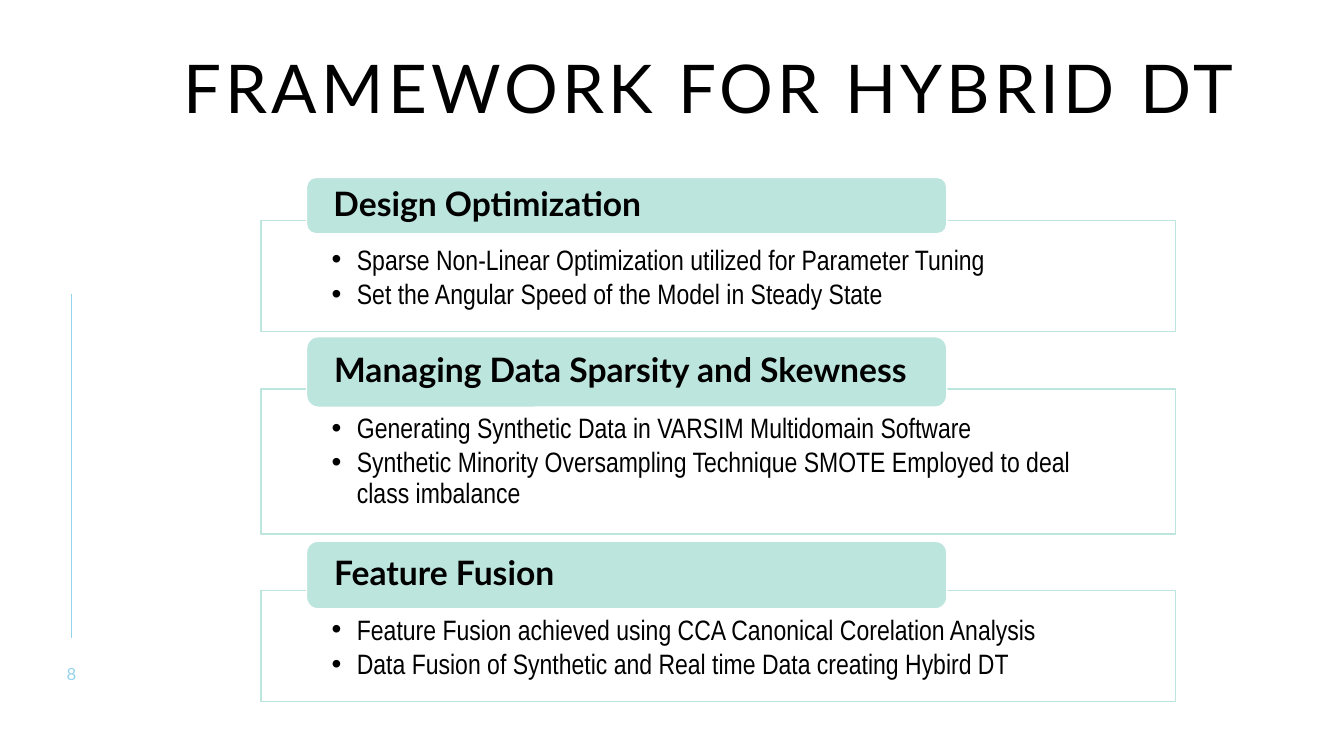
from pptx import Presentation
from pptx import util as u
from pptx.dml.color import RGBColor
from pptx.enum import shapes, text
from pptx.oxml.ns import qn
from lxml import etree

# Content
TITLE = "FRAMEWORK FOR HYBRID DT"
PAGE_NUMBER = "8"
SECTIONS = [
    {"heading": "Design Optimization",
     "points": ["Sparse Non-Linear Optimization utilized for Parameter Tuning",
                "Set the Angular Speed of the Model in Steady State"],
     "tab": (1.76, 0.56), "panel": (2.19, 1.1)},
    {"heading": "Managing Data Sparsity and Skewness",
     "points": ["Generating Synthetic Data in VARSIM Multidomain Software",
                "Synthetic Minority Oversampling Technique SMOTE Employed to deal "
                "class imbalance"],
     "tab": (3.34, 0.7), "panel": (3.86, 1.44)},
    {"heading": "Feature Fusion",
     "points": ["Feature Fusion achieved using CCA Canonical Corelation Analysis",
                "Data Fusion of Synthetic and Real time Data creating Hybird DT"],
     "tab": (5.37, 0.67), "panel": (5.86, 1.1)},
]

# Theme and layout
THEME = {
    "black": "000000", "white": "FFFFFF", "mint": "BCE5DD", "sky": "96D3ED",
    "title": {"size": 48, "name": "Lato", "color": "black", "bold": False, "spacing": 3},
    "heading": {"size": 24, "name": "Lato", "color": "black", "bold": True},
    "point": {"size": 20, "name": "Arial Narrow", "color": "black", "bold": False},
    "number": {"size": 12, "name": "Lato", "color": "sky", "bold": False, "spacing": 2},
}
PANEL_LEFT, PANEL_WIDTH = 2.59, 9.07
TAB_LEFT, TAB_WIDTH = 3.04, 6.35
INDENT = 0.25
TOP, MIDDLE = text.MSO_ANCHOR.TOP, text.MSO_ANCHOR.MIDDLE
LEFT, CENTER = text.PP_ALIGN.LEFT, text.PP_ALIGN.CENTER


def color(name):
    return RGBColor.from_string(THEME[name])


def write(box, lines, style, insets, anchor=TOP, align=LEFT, spacing=0.9, after=0):
    """Fill a text frame with one styled paragraph per line."""
    frame = box.text_frame
    sides = ("margin_left", "margin_top", "margin_right", "margin_bottom")
    values = dict(zip(sides, map(u.Inches, insets)))
    values |= {"word_wrap": True, "auto_size": text.MSO_AUTO_SIZE.NONE,
               "vertical_anchor": anchor}
    for key, value in values.items():
        setattr(frame, key, value)
    look = THEME[style]
    for index, line in enumerate(lines):
        para = frame.add_paragraph() if index else frame.paragraphs[0]
        for key, value in {"alignment": align, "line_spacing": spacing,
                           "space_before": u.Pt(0), "space_after": u.Pt(after)}.items():
            setattr(para, key, value)
        span = para.add_run()
        span.text = line
        for key, value in {"size": u.Pt(look["size"]), "name": look["name"],
                           "bold": look["bold"]}.items():
            setattr(span.font, key, value)
        span.font.color.rgb = color(look["color"])
        if "spacing" in look:
            span.font._element.set("spc", str(look["spacing"] * 100))
    return frame


def add_bullets(frame):
    for para in frame.paragraphs:
        props = para._p.get_or_add_pPr()
        props.set("marL", str(u.Inches(INDENT)))
        props.set("indent", str(-u.Inches(INDENT)))
        etree.SubElement(props, qn("a:buFont")).set("typeface", "Arial")
        etree.SubElement(props, qn("a:buChar")).set("char", "•")


def add_box(page, kind, left, top, width, height, fill, line):
    box = page.shapes.add_shape(kind, *map(u.Inches, (left, top, width, height)))
    box.shadow.inherit = False
    box.fill.solid()
    box.fill.fore_color.rgb = color(fill)
    box.line.color.rgb = color(line)
    box.line.width = u.Pt(1)
    return box


def add_section(page, section):
    # Outlined panel with its bullet list
    top, height = section["panel"]
    panel = add_box(page, shapes.MSO_SHAPE.RECTANGLE, PANEL_LEFT, top,
                    PANEL_WIDTH, height, "white", "mint")
    tint = panel._element.spPr.find(qn("a:solidFill"))[0]
    etree.SubElement(tint, qn("a:alpha")).set("val", "90000")
    add_bullets(write(panel, section["points"], "point", (0.7, 0.25, 0.7, 0.16), after=3))
    # Heading tab over the panel's top edge
    top, height = section["tab"]
    tab = add_box(page, shapes.MSO_SHAPE.ROUNDED_RECTANGLE, TAB_LEFT, top,
                  TAB_WIDTH, height, "mint", "white")
    write(tab, [section["heading"]], "heading", (0.24, 0, 0.24, 0), anchor=MIDDLE)


def main():
    deck = Presentation()
    deck.slide_width, deck.slide_height = u.Inches(13.33), u.Inches(7.5)
    page = deck.slides.add_slide(deck.slide_layouts[5])

    # Side rule and page number
    rule = page.shapes.add_connector(shapes.MSO_CONNECTOR.STRAIGHT,
                                     *map(u.Inches, (0.71, 2.92, 0.71, 6.33)))
    rule.line.color.rgb = color("sky")
    rule.line.width = u.Pt(1)
    etree.SubElement(rule._element.spPr, qn("a:effectLst"))
    number = page.shapes.add_textbox(*map(u.Inches, (0.46, 6.58, 0.5, 0.2)))
    write(number, [PAGE_NUMBER], "number", (0, 0, 0, 0), MIDDLE, CENTER, spacing=1.0)

    # Title
    title = page.shapes.title
    for key, value in {"left": 1.72, "top": 0.5, "width": 11.13, "height": 1.01}.items():
        setattr(title, key, u.Inches(value))
    write(title, [TITLE], "title", (0.1, 0.05, 0.1, 0.05))

    # Framework sections
    for section in SECTIONS:
        add_section(page, section)

    deck.save("out.pptx")


if __name__ == "__main__":
    main()
